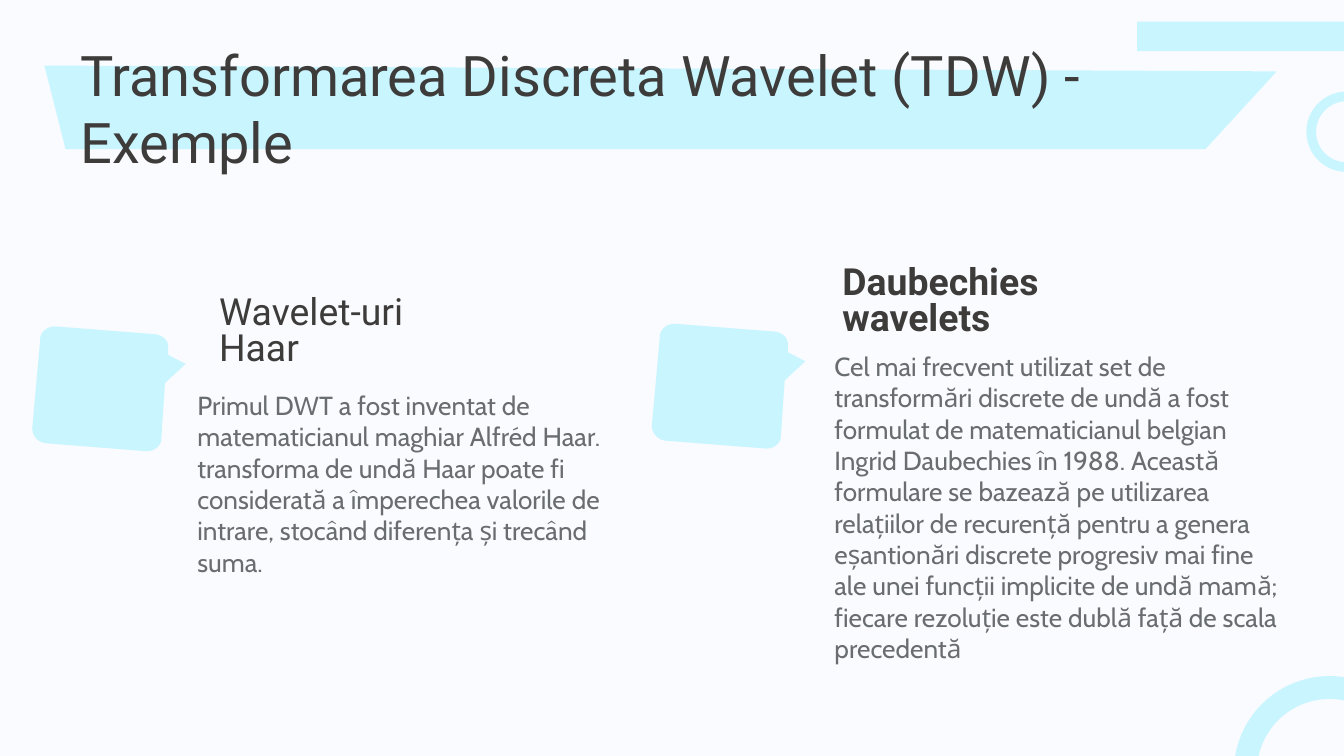
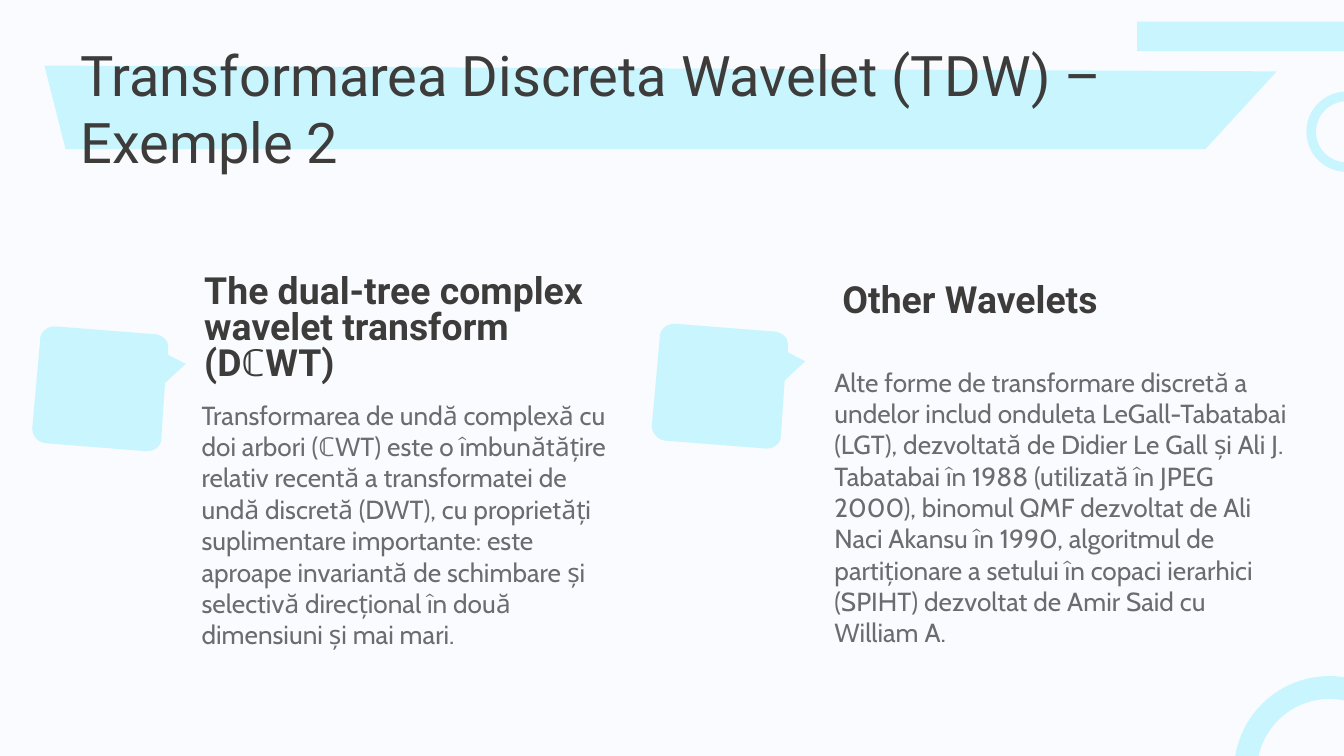
import dataclasses

import lxml.etree
import pptx
import pptx.dml.color
import pptx.enum.shapes
import pptx.enum.text
import pptx.oxml.ns
import pptx.util

Cm = pptx.util.Cm
SHAPES = pptx.enum.shapes.MSO_SHAPE
COMPARISON_LAYOUT = 4


@dataclasses.dataclass(frozen=True)
class TextStyle:
    font: str
    size: int
    color: str
    line_spacing: float = 1.0


@dataclasses.dataclass(frozen=True)
class Theme:
    background: str = "F9FBFF"
    accent: str = "C9F5FF"
    title: TextStyle = TextStyle("Roboto", 30, "3D3C3B")
    heading: TextStyle = TextStyle("Roboto", 20, "3D3C3B", 0.8)
    body: TextStyle = TextStyle("Cabin", 14, "6A6D70")


@dataclasses.dataclass(frozen=True)
class Topic:
    heading: str
    heading_box: tuple
    body: str
    body_box: tuple
    bold: bool = True


THEME = Theme()

# Outlines in cm: a single point is a line, three points are a curve
TITLE_BAND = [(0.84, 1.24), (24.13, 1.35), (22.78, 2.82), (1.24, 2.82)]
CALLOUT_START = (0.15, 0.26)
CALLOUT_STEPS = [
    [(0, 1.93)],
    [(0, 2.06), (0.1, 2.19), (0.25, 2.21)],
    [(2.16, 2.36)],
    [(2.29, 2.36), (2.41, 2.29), (2.44, 2.16)],
    [(2.44, 2.11)],
    [(2.51, 1.07)],
    [(2.9, 0.71)],
    [(2.57, 0.54)],
    [(2.57, 0.43)],
    [(2.59, 0.28), (2.49, 0.18), (2.34, 0.15)],
    [(0.43, 0)],
    [(0.3, 0), (0.18, 0.08), (0.15, 0.21)],
]
CALLOUT_ORIGINS = [(0.61, 6.17), (12.32, 6.12)]

# Text boxes in cm: left, top, width, height
RIGHT_HEADING_BOX = (15.67, 5.21, 6.73, 1.04)
RIGHT_BODY_BOX = (15.52, 8.2, 9.12, 2.77)

HAAR = Topic(
    "Wavelet-uri Haar",
    (3.89, 5.77, 5.59, 1.04),
    "Primul DWT a fost inventat de matematicianul maghiar Alfréd Haar. "
    "transforma de undă Haar poate fi considerată a împerechea valorile de "
    "intrare, stocând diferența și trecând suma.",
    (3.48, 7.32, 8.48, 3.63),
    bold=False,
)
DAUBECHIES = Topic(
    "Daubechies wavelets",
    RIGHT_HEADING_BOX,
    "Cel mai frecvent utilizat set de transformări discrete de undă a fost "
    "formulat de matematicianul belgian Ingrid Daubechies în 1988. Această "
    "formulare se bazează pe utilizarea relațiilor de recurență pentru a "
    "genera eșantionări discrete progresiv mai fine ale unei funcții "
    "implicite de undă mamă; fiecare rezoluție este dublă față de scala "
    "precedentă",
    RIGHT_BODY_BOX,
)
DUAL_TREE = Topic(
    "The dual-tree complex wavelet transform (DℂWT)",
    (3.61, 5.72, 8.26, 1.04),
    "Transformarea de undă complexă cu doi arbori (ℂWT) este o îmbunătățire "
    "relativ recentă a transformatei de undă discretă (DWT), cu proprietăți "
    "suplimentare importante: este aproape invariantă de schimbare și "
    "selectivă direcțional în două dimensiuni și mai mari.",
    (3.56, 8.1, 8.48, 3.63),
)
OTHER_WAVELETS = Topic(
    "Other Wavelets",
    RIGHT_HEADING_BOX,
    "Alte forme de transformare discretă a undelor includ onduleta "
    "LeGall-Tabatabai (LGT), dezvoltată de Didier Le Gall și Ali J. "
    "Tabatabai în 1988 (utilizată în JPEG 2000), binomul QMF dezvoltat de "
    "Ali Naci Akansu în 1990, algoritmul de partiționare a setului în copaci "
    "ierarhici (SPIHT) dezvoltat de Amir Said cu William A.",
    RIGHT_BODY_BOX,
)


def rgb(color):
    return pptx.dml.color.RGBColor.from_string(color)


def paint(shape):
    """Give a shape the flat accent look."""
    shape.shadow.inherit = False
    shape.fill.solid()
    shape.fill.fore_color.rgb = rgb(THEME.accent)
    shape.line.fill.background()


def add_outline(slide, points):
    corners = [(Cm(x), Cm(y)) for x, y in points]
    builder = slide.shapes.build_freeform(*corners[0])
    builder.add_line_segments(corners[1:], close=True)
    paint(builder.convert_to_shape())


def add_ring(slide, left, top, size, rotation, flipped=False):
    ring = slide.shapes.add_shape(
        SHAPES.BLOCK_ARC, Cm(left), Cm(top), Cm(size), Cm(size))
    for index, value in enumerate((108, 2.64, 0.12)):
        ring.adjustments[index] = value
    ring.rotation = rotation
    if flipped:
        ring._element.spPr.xfrm.set("flipH", "1")
    paint(ring)


def curve_points(start, first, second, end, steps=6):
    """Points along a cubic curve, without its start."""
    for step in range(1, steps + 1):
        t = step / steps
        weights = ((1 - t) ** 3, 3 * t * (1 - t) ** 2, 3 * t * t * (1 - t), t ** 3)
        yield tuple(
            sum(weight * value for weight, value in zip(weights, axis))
            for axis in zip(start, first, second, end))


def add_callout(slide, left, top):
    points = [CALLOUT_START]
    for step in CALLOUT_STEPS:
        points += step if len(step) == 1 else curve_points(points[-1], *step)
    add_outline(slide, [(left + x, top + y) for x, y in points])


def add_decor(slide):
    # Corner ornaments
    add_ring(slide, 23.32, 12.78, 3.61, 315, flipped=True)
    bar = slide.shapes.add_shape(
        SHAPES.RECTANGLE, Cm(21.49), Cm(0.41), Cm(3.91), Cm(0.56))
    paint(bar)
    add_ring(slide, 24.69, 1.73, 1.52, 270)
    # Title band and topic callouts
    add_outline(slide, TITLE_BAND)
    for origin in CALLOUT_ORIGINS:
        add_callout(slide, *origin)


def fill_placeholder(slide, index, text, box, style, bold=False):
    """Place, format and fill a placeholder above the decoration."""
    holder = next(p for p in slide.placeholders
                  if p.placeholder_format.idx == index)
    slide.shapes._spTree.append(holder._element)
    holder.left, holder.top, holder.width, holder.height = map(Cm, box)

    frame = holder.text_frame
    frame.word_wrap = True
    frame.auto_size = pptx.enum.text.MSO_AUTO_SIZE.NONE
    frame.vertical_anchor = pptx.enum.text.MSO_ANCHOR.MIDDLE
    frame.margin_left = frame.margin_right = Cm(0.25)
    frame.margin_top = frame.margin_bottom = Cm(0.25)

    paragraph = frame.paragraphs[0]
    paragraph.alignment = pptx.enum.text.PP_ALIGN.LEFT
    paragraph.line_spacing = style.line_spacing
    paragraph.space_before = pptx.util.Pt(0)
    properties = paragraph._p.get_or_add_pPr()
    properties.set("marL", "0")
    properties.set("indent", "0")
    lxml.etree.SubElement(properties, pptx.oxml.ns.qn("a:buNone"))

    run = paragraph.add_run()
    run.text = text
    run.font.name = style.font
    run.font.size = pptx.util.Pt(style.size)
    run.font.bold = bold
    run.font.color.rgb = rgb(style.color)


def add_topics_slide(deck, title, title_width, topics):
    slide = deck.slides.add_slide(deck.slide_layouts[COMPARISON_LAYOUT])
    add_decor(slide)
    fill_placeholder(slide, 0, title, (1.27, 1.24, title_width, 1.6), THEME.title)
    # Each column has a heading placeholder followed by a body placeholder
    for index, topic in zip((1, 3), topics):
        fill_placeholder(slide, index, topic.heading, topic.heading_box,
                         THEME.heading, topic.bold)
        fill_placeholder(slide, index + 1, topic.body, topic.body_box, THEME.body)


def main():
    deck = pptx.Presentation()
    deck.slide_width, deck.slide_height = Cm(25.4), Cm(14.29)
    backdrop = deck.slide_master.background.fill
    backdrop.solid()
    backdrop.fore_color.rgb = rgb(THEME.background)

    add_topics_slide(deck, "Transformarea Discreta Wavelet (TDW) - Exemple",
                     21.89, (HAAR, DAUBECHIES))
    add_topics_slide(deck, "Transformarea Discreta Wavelet (TDW) – Exemple 2",
                     22.86, (DUAL_TREE, OTHER_WAVELETS))
    deck.save("out.pptx")


if __name__ == "__main__":
    main()
